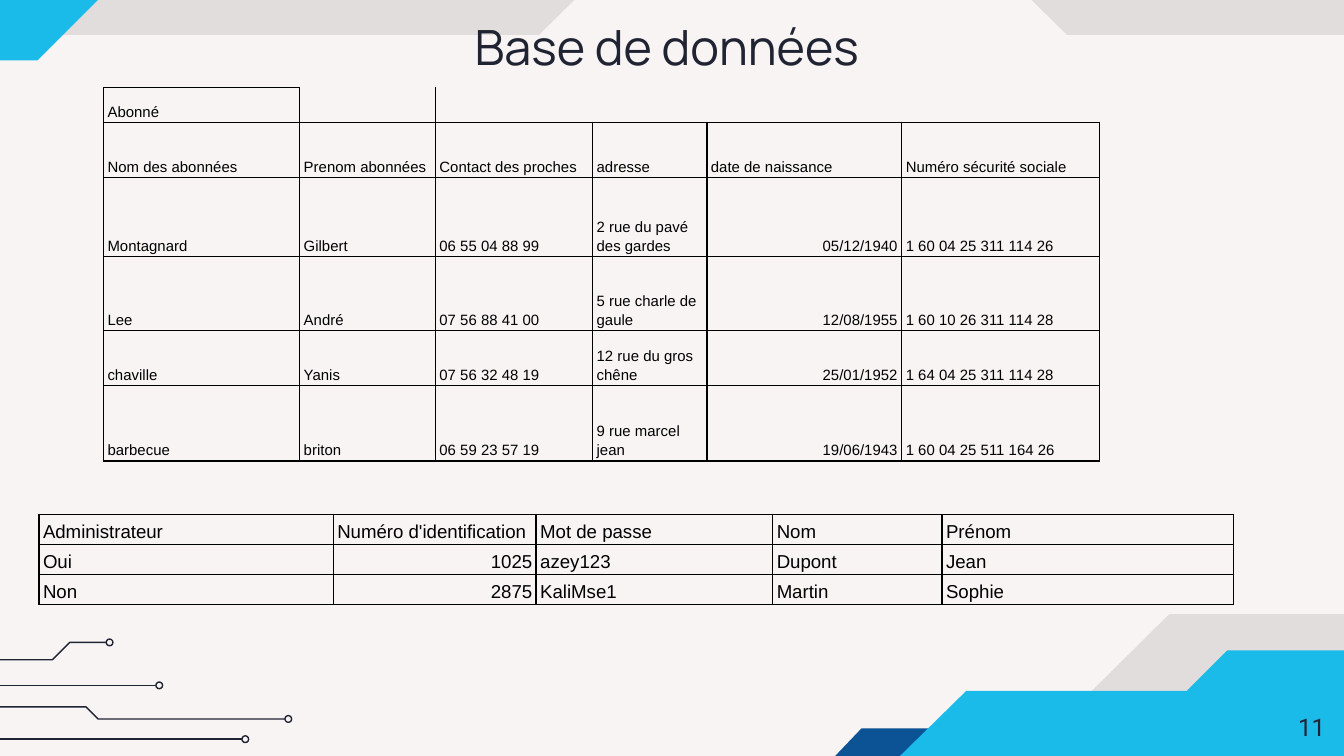
from lxml import etree
from pptx import Presentation
from pptx.dml.color import RGBColor
from pptx.enum.shapes import MSO_CONNECTOR, MSO_SHAPE
from pptx.enum.text import MSO_ANCHOR, PP_ALIGN
from pptx.oxml.ns import qn
from pptx.util import Inches, Pt

STRAIGHT = MSO_CONNECTOR.STRAIGHT
OVAL = MSO_SHAPE.OVAL
TOP, MIDDLE, BOTTOM = MSO_ANCHOR.TOP, MSO_ANCHOR.MIDDLE, MSO_ANCHOR.BOTTOM
LEFT, CENTER, RIGHT = PP_ALIGN.LEFT, PP_ALIGN.CENTER, PP_ALIGN.RIGHT

COLORS = {
    "background": "F8F4F4",
    "shade": "000000",
    "sky": "1BBBE9",
    "navy": "0B5394",
    "ink": "202331",
    "black": "000000",
}
SHADE_OPACITY = 9
BORDER_WIDTH = 0.94
NODE_SIZE = 0.05

SUBSCRIBERS = [
    ["Abonné", "", "", "", "", ""],
    ["Nom des abonnées", "Prenom abonnées", "Contact des proches", "adresse",
     "date de naissance", "Numéro sécurité sociale"],
    ["Montagnard", "Gilbert", "06 55 04 88 99", "2 rue du pavé des gardes",
     "05/12/1940", "1 60 04 25 311 114 26"],
    ["Lee", "André", "07 56 88 41 00", "5 rue charle de gaule",
     "12/08/1955", "1 60 10 26 311 114 28"],
    ["chaville", "Yanis", "07 56 32 48 19", "12 rue du gros chêne",
     "25/01/1952", "1 64 04 25 311 114 28"],
    ["barbecue", "briton", "06 59 23 57 19", "9 rue marcel jean",
     "19/06/1943", "1 60 04 25 511 164 26"],
]
ADMINISTRATORS = [
    ["Administrateur", "Numéro d'identification", "Mot de passe", "Nom", "Prénom"],
    ["Oui", "1025", "azey123", "Dupont", "Jean"],
    ["Non", "2875", "KaliMse1", "Martin", "Sophie"],
]


def color(name):
    """Return the named colour."""
    return RGBColor.from_string(COLORS[name])


def add_outline(page, left, top, points, close):
    """Draw a shadowless freeform with points relative to left and top."""
    corners = [(Inches(left + x), Inches(top + y)) for x, y in points]
    builder = page.shapes.build_freeform(*corners[0])
    builder.add_line_segments(corners[1:], close=close)
    shape = builder.convert_to_shape()
    shape.shadow.inherit = False
    return shape


def add_panel(page, left, top, points, fill, opacity=100):
    """Draw a filled polygon without a line."""
    shape = add_outline(page, left, top, points, True)
    shape.fill.solid()
    shape.fill.fore_color.rgb = color(fill)
    shape.line.fill.background()
    if opacity < 100:
        tint = shape._element.spPr.find(".//" + qn("a:srgbClr"))
        etree.SubElement(tint, qn("a:alpha"), val=str(opacity * 1000))


def style_line(shape):
    """Give a trace or node its thin dark line."""
    shape.line.color.rgb = color("ink")
    shape.line.width = Pt(0.75)


def add_trace(page, left, top, points):
    """Draw a circuit trace that ends in a round node."""
    if len(points) == 2:
        (x1, y1), (x2, y2) = points
        trace = page.shapes.add_connector(
            STRAIGHT, Inches(left + x1), Inches(top + y1), Inches(left + x2), Inches(top + y2))
        style_line(trace)
        etree.SubElement(trace._element.spPr, qn("a:effectLst"))
    else:
        trace = add_outline(page, left, top, points, False)
        trace.fill.background()
        style_line(trace)
    end_x, end_y = points[-1]
    node = page.shapes.add_shape(
        OVAL, Inches(left + end_x), Inches(top + end_y - NODE_SIZE / 2),
        Inches(NODE_SIZE), Inches(NODE_SIZE))
    node.shadow.inherit = False
    node.fill.background()
    style_line(node)


def add_top_band(page, left, top):
    """Draw the grey band and blue corner along the top edge."""
    add_panel(page, left, top, [
        (7.94, 0.26), (6.82, -0.84), (5.13, -0.84), (4.01, 0.26),
        (-0.12, 0.26), (-0.12, -1.8), (10.12, -1.8), (10.12, 0.26)], "shade", SHADE_OPACITY)
    add_panel(page, left, top, [
        (0.28, 0.45), (1.4, -0.67), (1.72, -0.67), (1.72, -1.24),
        (-1.34, -1.24), (-1.34, 0.45)], "sky")


def add_bottom_corner(page, left, top):
    """Draw the layered panels of the bottom right corner."""
    add_panel(page, left, top, [
        (2.81, 0), (1.69, 1.11), (1.37, 1.11), (1.37, 1.68),
        (4.44, 1.68), (4.44, 0)], "shade", SHADE_OPACITY)
    add_panel(page, left, top, [
        (0.32, 1.06), (0.52, 0.85), (1.42, 0.85), (1.22, 1.06)], "navy")
    add_panel(page, left, top, [
        (5.59, 0.27), (5.59, 3.57), (0, 3.57), (0, 1.15),
        (0.71, 1.15), (1.3, 0.57), (2.94, 0.57), (3.24, 0.27)], "sky")


def add_circuit(page, left, top):
    """Draw the four circuit traces of the bottom left corner."""
    for points in (
        [(-0.5, 0.34), (1.16, 0.34)],
        [(-0.87, 0.15), (0.39, 0.15), (0.52, 0.02), (0.79, 0.02)],
        [(-1.19, 0.5), (0.64, 0.5), (0.73, 0.59), (2.12, 0.59)],
        [(-1.44, 0.74), (1.8, 0.74)],
    ):
        add_trace(page, left, top, points)


def add_span(para, text, font, size, ink):
    """Add one styled run to a paragraph."""
    span = para.add_run()
    span.text = text
    span.font.name = font
    span.font.size = Pt(size)
    span.font.color.rgb = color(ink)


def add_label(page, left, top, width, height, text, font, size, align, anchor):
    """Add a one-line text box."""
    box = page.shapes.add_textbox(Inches(left), Inches(top), Inches(width), Inches(height))
    frame = box.text_frame
    frame.word_wrap = True
    frame.vertical_anchor = anchor
    frame.margin_left = frame.margin_right = Inches(0.1)
    frame.margin_top = frame.margin_bottom = Inches(0.1)
    para = frame.paragraphs[0]
    para.alignment = align
    add_span(para, text, font, size, "ink")


def set_borders(cell, sides):
    """Draw the given cell sides in black and clear the others."""
    properties = cell._tc.get_or_add_tcPr()
    for index, side in enumerate("LRTB"):
        line = etree.Element(qn("a:ln" + side), w=str(Pt(BORDER_WIDTH)))
        if side in sides:
            fill = etree.SubElement(line, qn("a:solidFill"))
            etree.SubElement(fill, qn("a:srgbClr"), val=COLORS["black"])
        else:
            etree.SubElement(line, qn("a:noFill"))
        properties.insert(index, line)


def add_grid(page, left, top, widths, heights, rows, size, right_column, open_sides):
    """Add a bordered table; open_sides maps cells to their partial borders."""
    table = page.shapes.add_table(
        len(rows), len(widths), Inches(left), Inches(top),
        Inches(sum(widths)), Inches(sum(heights))).table
    table.first_row = table.horz_banding = False
    for column, width in zip(table.columns, widths):
        column.width = Inches(width)
    for r, (values, height) in enumerate(zip(rows, heights)):
        table.rows[r].height = Inches(height)
        for c, text in enumerate(values):
            cell = table.cell(r, c)
            cell.fill.background()
            cell.vertical_anchor = BOTTOM
            cell.margin_left = cell.margin_right = Inches(0.03)
            cell.margin_top = cell.margin_bottom = Pt(1.1)
            set_borders(cell, open_sides.get((r, c), "LRTB"))
            para = cell.text_frame.paragraphs[0]
            para.line_spacing = 1.15
            para.alignment = RIGHT if r and c == right_column and text[0].isdigit() else LEFT
            if text:
                add_span(para, text, "Arial", size, "black")
            else:
                etree.SubElement(para._p, qn("a:endParaRPr"), sz=str(size * 100))


def main():
    """Build and save the deck."""
    deck = Presentation()
    deck.slide_width = Inches(10)
    deck.slide_height = deck.slide_width * 9 // 16
    page = deck.slides.add_slide(deck.slide_layouts[6])
    page.background.fill.solid()
    page.background.fill.fore_color.rgb = color("background")
    add_top_band(page, 0, 0)
    add_bottom_corner(page, 5.89, 4.57)
    add_circuit(page, 0, 4.76)
    add_label(page, 0.75, 0.03, 8.43, 0.63, "Base de données", "Manrope", 26, CENTER, TOP)
    open_sides = {(0, 1): "LRB", (0, 2): "LB", **{(0, c): "B" for c in range(3, 6)}}
    add_grid(page, 0.77, 0.65, [1.46, 1.01, 1.17, 0.85, 1.45, 1.47],
             [0.26, 0.41, 0.59, 0.55, 0.41, 0.56], SUBSCRIBERS, 8, 4, open_sides)
    add_grid(page, 0.29, 3.83, [2.19, 1.51, 1.76, 1.26, 2.17], [0.22] * 3,
             ADMINISTRATORS, 10, 1, {})
    add_label(page, 9.36, 5.19, 0.6, 0.43, "11", "Roboto", 13, RIGHT, MIDDLE)
    deck.save("out.pptx")


if __name__ == "__main__":
    main()
